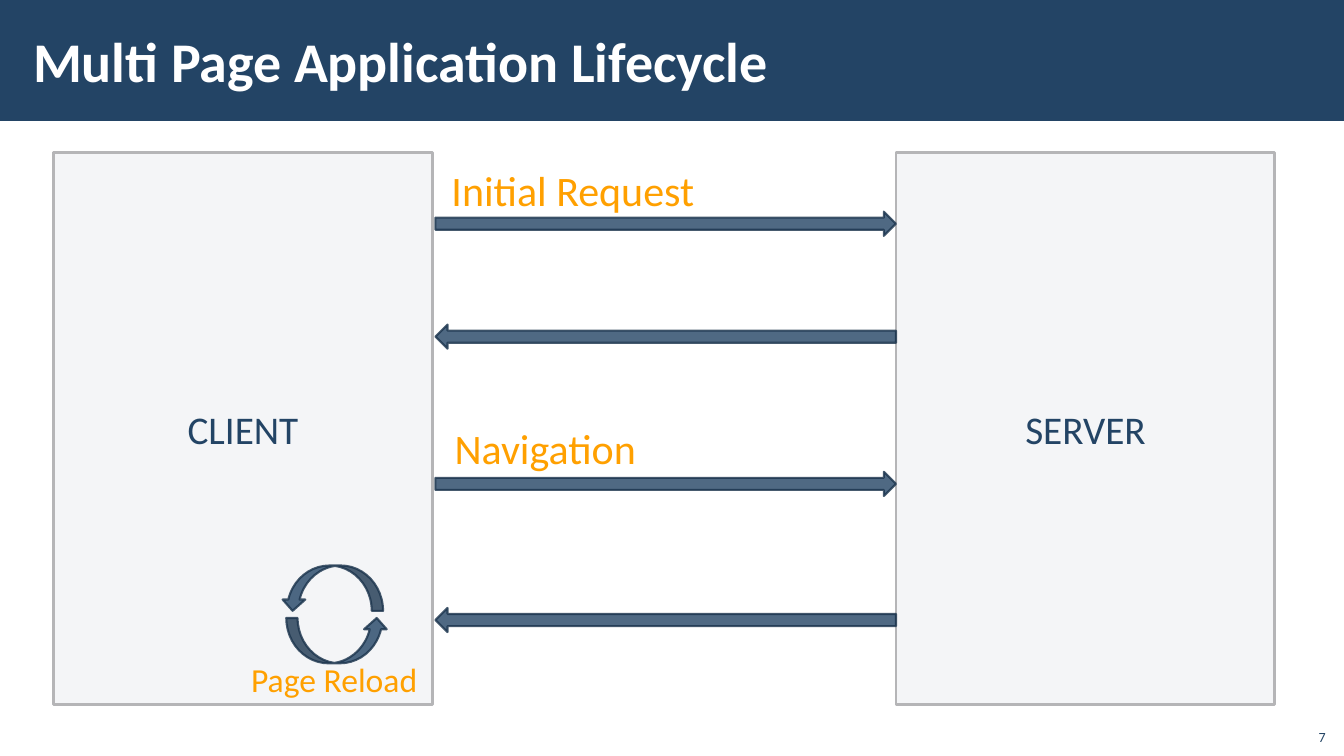
from lxml.etree import SubElement
from pptx import Presentation
from pptx.dml.color import RGBColor
from pptx.enum.shapes import MSO_SHAPE
from pptx.enum.text import MSO_ANCHOR, MSO_AUTO_SIZE, PP_ALIGN
from pptx.oxml.ns import qn
from pptx.util import Pt

NAVY = "234465"
DARK_NAVY = "1A334C"
ORANGE = "FFA000"
WHITE = "FFFFFF"
PANEL_FILL = "F4F5F7"
PANEL_LINE = "B5B5B7"


def colour(value):
    """Turn a hex string into a colour."""
    return RGBColor.from_string(value)


def write(shape, text, size, font_colour, align, anchor, bold=False):
    """Put one styled paragraph into a shape."""
    shape.text_frame.vertical_anchor = anchor
    paragraph = shape.text_frame.paragraphs[0]
    paragraph.text = text
    paragraph.alignment = align
    paragraph.font.name = "Calibri"
    paragraph.font.size = Pt(size)
    paragraph.font.bold = bold
    paragraph.font.color.rgb = colour(font_colour)


def add_block(slide, kind, left, top, width, height, fill, line=None, line_width=0):
    """Add a filled preset shape, outlined when a line colour is given."""
    shape = slide.shapes.add_shape(kind, Pt(left), Pt(top), Pt(width), Pt(height))
    shape.shadow.inherit = False
    shape.fill.solid()
    shape.fill.fore_color.rgb = colour(fill)
    if line:
        shape.line.color.rgb = colour(line)
        shape.line.width = Pt(line_width)
    else:
        shape.line.fill.background()
    return shape


def add_text(slide, text, left, top, width, height, size, font_colour,
             align=PP_ALIGN.LEFT, anchor=MSO_ANCHOR.TOP, bold=False):
    """Add a wrapping text box."""
    box = slide.shapes.add_textbox(Pt(left), Pt(top), Pt(width), Pt(height))
    box.text_frame.word_wrap = True
    write(box, text, size, font_colour, align, anchor, bold)
    return box


def add_label(slide, text, left, top, width, height, size):
    """Add an orange label that fits its text on one line."""
    box = add_text(slide, text, left, top, width, height, size, ORANGE, PP_ALIGN.CENTER)
    box.text_frame.word_wrap = False
    box.text_frame.auto_size = MSO_AUTO_SIZE.SHAPE_TO_FIT_TEXT


def add_panel(slide, text, left):
    """Add one of the two tall panels."""
    panel = add_block(slide, MSO_SHAPE.RECTANGLE, left, 108.7, 270.7, 394.6,
                      PANEL_FILL, PANEL_LINE, 2)
    write(panel, text, 28, NAVY, PP_ALIGN.CENTER, MSO_ANCHOR.MIDDLE)


def add_arrow(slide, kind, left, top, width, height, rotation):
    """Add a translucent navy arrow."""
    arrow = add_block(slide, kind, left, top, width, height, NAVY, DARK_NAVY, 1.5)
    arrow.rotation = rotation
    for element in list(arrow._element.spPr.iter(qn("a:srgbClr"))):
        SubElement(element, qn("a:alpha"), val="80000")


def main():
    """Build the slide and save it."""
    presentation = Presentation()
    presentation.slide_width = Pt(960)
    presentation.slide_height = Pt(540)
    slide = presentation.slides.add_slide(presentation.slide_layouts[6])

    add_block(slide, MSO_SHAPE.RECTANGLE, 0, 0, 960, 86.4, NAVY)
    title = add_text(slide, "Multi Page Application Lifecycle", 15, 8, 765.4, 70, 40,
                     WHITE, anchor=MSO_ANCHOR.MIDDLE, bold=True)
    title.text_frame.margin_left = title.text_frame.margin_right = Pt(8.64)
    title.text_frame.margin_top = title.text_frame.margin_bottom = Pt(2.88)
    add_text(slide, "7", 925.2, 512.6, 28.8, 23, 10, NAVY,
             PP_ALIGN.RIGHT, MSO_ANCHOR.BOTTOM)

    add_panel(slide, "CLIENT", 38.2)
    add_panel(slide, "SERVER", 640)

    for top, rotation in ((151.2, 0), (231.8, 180), (337, 0), (434.2, 180)):
        add_arrow(slide, MSO_SHAPE.RIGHT_ARROW, 311, top, 329, 17.3, rotation)
    for left, top, rotation in ((200.9, 403.9, 180), (204.5, 441.4, 0)):
        add_arrow(slide, MSO_SHAPE.CURVED_UP_ARROW, left, top, 72.7, 32.4, rotation)

    add_label(slide, "Initial Request", 314.6, 113.8, 189.4, 43.6, 30)
    add_label(slide, "Navigation", 316.8, 298.1, 145.4, 43.6, 30)
    add_label(slide, "Page Reload", 171.4, 467.3, 134.6, 36.4, 24)

    presentation.save("out.pptx")


if __name__ == "__main__":
    main()
